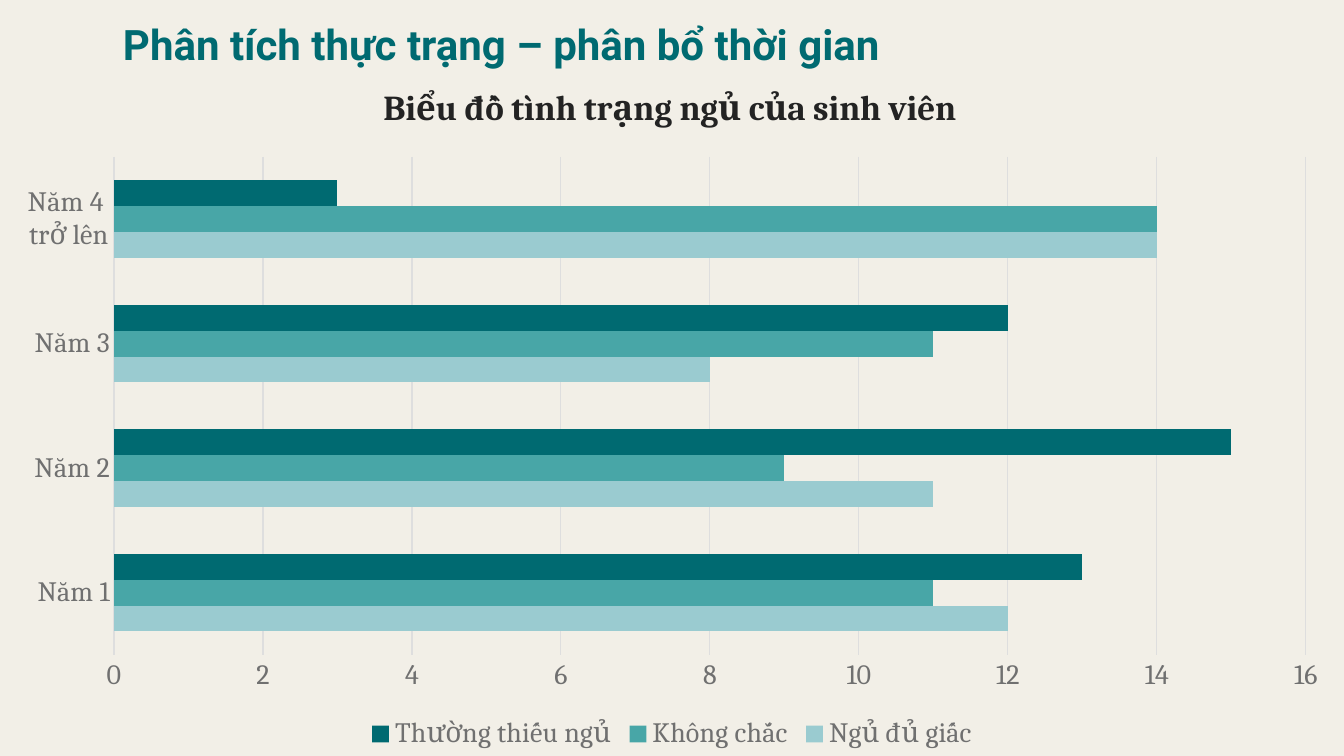
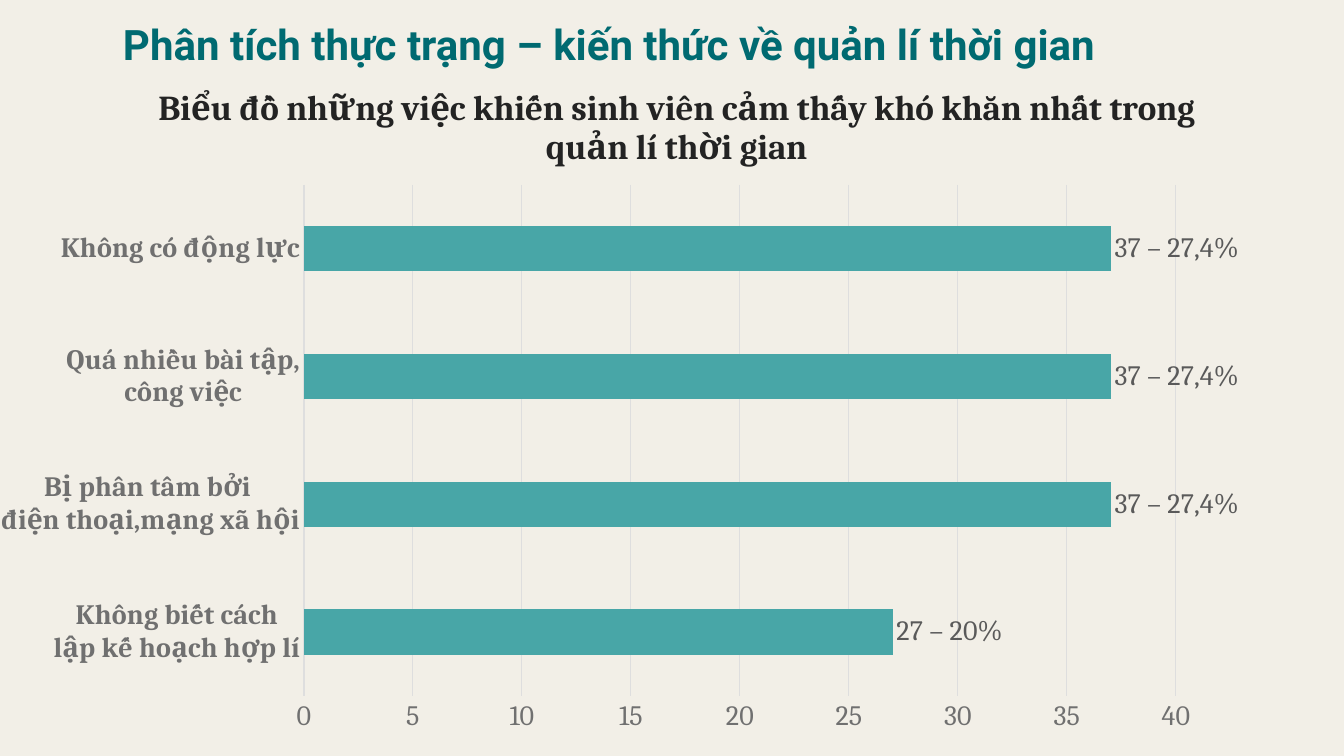
from lxml import etree
from pptx import Presentation
from pptx import util as u
from pptx.chart.data import CategoryChartData
from pptx.dml.color import RGBColor
from pptx.enum import chart as ch, text
from pptx.oxml.ns import qn

EMU_PER_PX = 914400 / 100.8
W, H = 1344, 756
CHART_TOP = 75
CHART_H = H - CHART_TOP

CREAM = RGBColor(0xF2, 0xEF, 0xE7)
DARK_TEAL = RGBColor(0x00, 0x6A, 0x71)
TEAL = RGBColor(0x48, 0xA6, 0xA7)
PALE_TEAL = RGBColor(0x9A, 0xCB, 0xD0)
INK = RGBColor(0x23, 0x23, 0x23)
GRAY = RGBColor(0x70, 0x70, 0x70)
LABEL_GRAY = RGBColor(0x5A, 0x5A, 0x5A)
GRID = RGBColor(0xDE, 0xDE, 0xDE)

HEADING = dict(name="Roboto", size=u.Pt(30), bold=True, color=DARK_TEAL)
CHART_TITLE = dict(name="Cambria", size=u.Pt(25), bold=True, color=INK)
AXIS = dict(name="Cambria", size=u.Pt(20), bold=False, color=GRAY)
DATA_LABEL = dict(AXIS, color=LABEL_GRAY)

# title_at: left, top; plot: left, top, width, height; all in px on the slide
SLIDES = [
    dict(
        heading="Phân tích thực trạng – phân bổ thời gian",
        title="Biểu đồ tình trạng ngủ của sinh viên",
        cats=["Năm 1", "Năm 2", "Năm 3", "Năm 4 \ntrở lên"],
        series=[
            ("Ngủ đủ giấc", [12, 11, 8, 14], PALE_TEAL),
            ("Không chắc", [11, 9, 11, 14], TEAL),
            ("Thường thiếu ngủ", [13, 15, 12, 3], DARK_TEAL),
        ],
        labels=[], legend=True, bold_cats=False, maximum=16, step=2,
        title_at=(377, 78), plot=(114, 157, 1192, 498),
    ),
    dict(
        heading="Phân tích thực trạng – kiến thức về quản lí thời gian",
        title="Biểu đồ những việc khiến sinh viên cảm thấy khó khăn nhất trong quản lí thời gian",
        cats=["Không biết cách\nlập kế hoạch hợp lí",
              "Bị phân tâm bởi \nđiện thoại,mạng xã hội",
              "Quá nhiều bài tập,\ncông việc",
              "Không có động lực"],
        series=[("Series 1", [27, 37, 37, 37], TEAL)],
        labels=["27 – 20%", "37 – 27,4%", "37 – 27,4%", "37 – 27,4%"],
        legend=False, bold_cats=True, maximum=40, step=5,
        title_at=(152, 78), plot=(304, 185, 872, 511),
    ),
]


def px(*lengths):
    return [u.Emu(round(n * EMU_PER_PX)) for n in lengths]


def style(font, fmt):
    for key, value in fmt.items():
        if key == "color":
            font.color.rgb = value
        else:
            setattr(font, key, value)


prs = Presentation()
prs.slide_width, prs.slide_height = px(W, H)
background = prs.slide_master.background.fill
background.solid()
background.fore_color.rgb = CREAM

for page in SLIDES:
    s = prs.slides.add_slide(prs.slide_layouts[5])
    sp = s.shapes.title
    sp.left, sp.top, sp.width, sp.height = px(113, 13, 1083, 61)
    outline = etree.SubElement(sp.element.spPr, qn("a:prstGeom"), prst="roundRect")
    guides = etree.SubElement(outline, qn("a:avLst"))
    etree.SubElement(guides, qn("a:gd"), name="adj", fmla="val 38300")
    tf = sp.text_frame
    tf.text = page["heading"]
    tf.auto_size = text.MSO_AUTO_SIZE.NONE
    tf.vertical_anchor = text.MSO_ANCHOR.MIDDLE
    tf.margin_left, tf.margin_top, tf.margin_bottom = px(10, 0, 0)
    p = tf.paragraphs[0]
    p.alignment = text.PP_ALIGN.LEFT
    style(p.runs[0].font, HEADING)

    data = CategoryChartData()
    data.categories = page["cats"]
    for name, values, _ in page["series"]:
        data.add_series(name, values)
    chart = s.shapes.add_chart(ch.XL_CHART_TYPE.BAR_CLUSTERED,
                               *px(0, CHART_TOP, W, CHART_H), data).chart
    style(chart.font, dict(AXIS, size=u.Pt(10), color=INK))

    chart.has_title = True
    chart.chart_title.include_in_layout = False
    tf = chart.chart_title.text_frame
    tf.text = page["title"]
    style(tf.paragraphs[0].runs[0].font, CHART_TITLE)

    chart.has_legend = page["legend"]
    if page["legend"]:
        chart.legend.position = ch.XL_LEGEND_POSITION.BOTTOM
        chart.legend.include_in_layout = False
        style(chart.legend.font, AXIS)

    cat_axis, val_axis = chart.category_axis, chart.value_axis
    for axis in (cat_axis, val_axis):
        axis.major_tick_mark = axis.minor_tick_mark = ch.XL_TICK_MARK.NONE
        style(axis.tick_labels.font, AXIS)
    cat_axis.tick_labels.font.bold = page["bold_cats"]
    cat_axis.has_major_gridlines = False
    val_axis.has_major_gridlines = True
    val_axis.format.line.fill.background()
    val_axis.minimum_scale = 0
    val_axis.maximum_scale = page["maximum"]
    val_axis.major_unit = page["step"]
    for line in (cat_axis.format.line, val_axis.major_gridlines.format.line):
        line.color.rgb = GRID
        line.width = u.Pt(0.75)

    bars = chart.plots[0]
    bars.gap_width = 182
    bars.overlap = 0
    bars.vary_by_categories = False
    for series, (_, _, color) in zip(bars.series, page["series"]):
        series.format.fill.solid()
        series.format.fill.fore_color.rgb = color
        series.invert_if_negative = False

    for i, label in enumerate(page["labels"]):
        data_label = bars.series[0].points[i].data_label
        tf = data_label.text_frame
        tf.text = label
        tf.word_wrap = False
        style(tf.paragraphs[0].runs[0].font, DATA_LABEL)
        data_label.position = ch.XL_LABEL_POSITION.OUTSIDE_END

    # Place the title and the inner plot area as fractions of the chart frame
    title = chart.element.find(".//" + qn("c:title"))
    plot_area = chart.element.find(".//" + qn("c:plotArea"))
    for parent, index, target, box in [(title, 1, [], page["title_at"]),
                                       (plot_area, 0, [("layoutTarget", "inner")], page["plot"])]:
        for old in parent.findall(qn("c:layout")):
            parent.remove(old)
        layout = etree.Element(qn("c:layout"))
        parent.insert(index, layout)
        manual = etree.SubElement(layout, qn("c:manualLayout"))
        left, top, *size = box
        fractions = [n / whole for n, whole in zip((left, top - CHART_TOP, *size),
                                                   (W, CHART_H, W, CHART_H))]
        settings = target + [("xMode", "edge"), ("yMode", "edge"), *zip("xywh", fractions)]
        for tag, value in settings:
            etree.SubElement(manual, qn("c:" + tag)).set("val", str(value))

prs.save("out.pptx")
